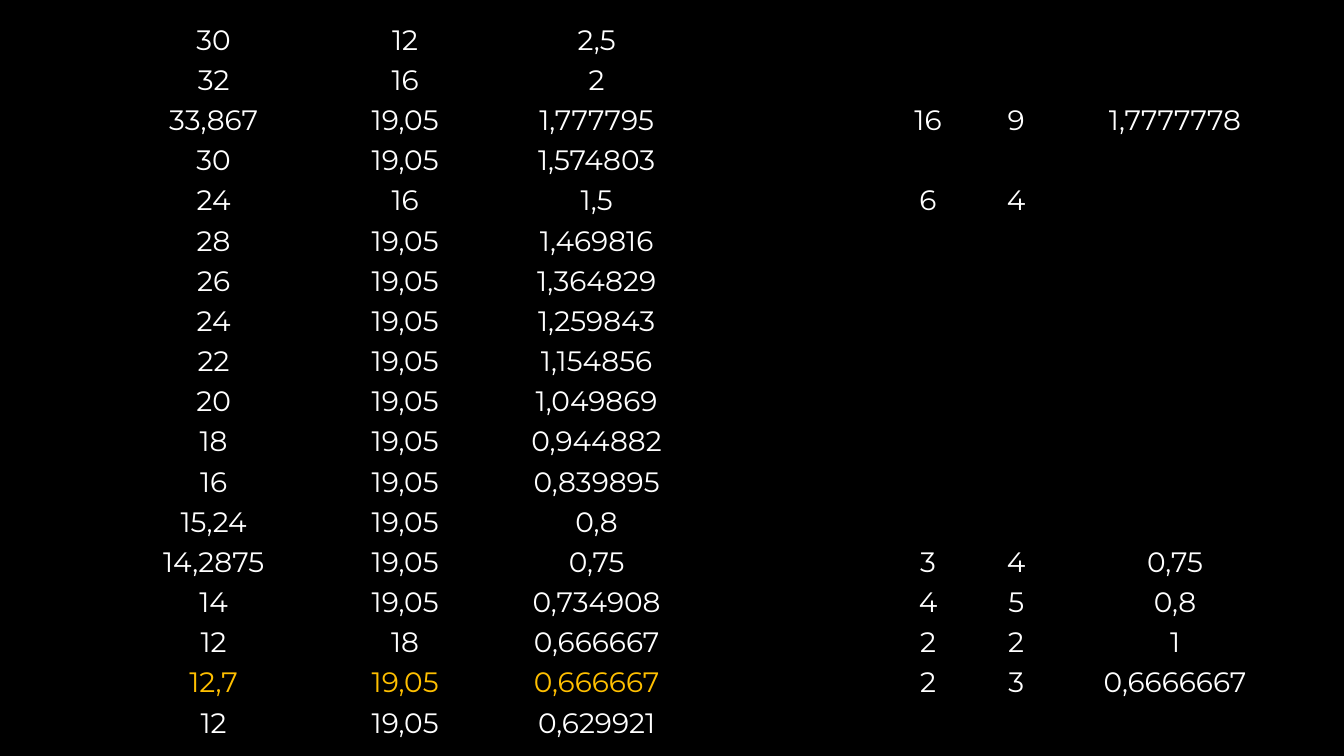
from dataclasses import dataclass

from pptx import Presentation
from pptx.dml.color import RGBColor
from pptx.enum import text
from pptx.oxml import ns
from pptx.util import Pt

# Width, height, ratio; then, after an empty column, the simple ratio
ROWS = [
    ("30", "12", "2,5"),
    ("32", "16", "2"),
    ("33,867", "19,05", "1,777795", "", "16", "9", "1,7777778"),
    ("30", "19,05", "1,574803"),
    ("24", "16", "1,5", "", "6", "4"),
    ("28", "19,05", "1,469816"),
    ("26", "19,05", "1,364829"),
    ("24", "19,05", "1,259843"),
    ("22", "19,05", "1,154856"),
    ("20", "19,05", "1,049869"),
    ("18", "19,05", "0,944882"),
    ("16", "19,05", "0,839895"),
    ("15,24", "19,05", "0,8"),
    ("14,2875", "19,05", "0,75", "", "3", "4", "0,75"),
    ("14", "19,05", "0,734908", "", "4", "5", "0,8"),
    ("12", "18", "0,666667", "", "2", "2", "1"),
    ("12,7", "19,05", "0,666667", "", "2", "3", "0,6666667"),
    ("12", "19,05", "0,629921"),
]
HIGHLIGHT_ROW = 16
HIGHLIGHT_COLUMNS = range(3)

SLIDE_SIZE = (960, 540)
TABLE_LEFT, TABLE_TOP = 84.2, 14.4
COLUMN_WIDTHS = [136.8] * 4 + [63] * 2 + [164]
ROW_HEIGHT = 28.71
NO_STYLE_NO_GRID = "{2D5ABB26-0587-4C30-8999-92F81FD0307C}"


@dataclass(frozen=True)
class Theme:
    background: RGBColor = RGBColor(0, 0, 0)
    body: RGBColor = RGBColor(255, 255, 255)
    highlight: RGBColor = RGBColor(255, 192, 0)
    font: str = "Montserrat"
    size: int = 20


THEME = Theme()
CELL_FORMAT = {
    "margin_left": 0,
    "margin_right": 0,
    "margin_top": 0,
    "margin_bottom": 0,
    "vertical_anchor": text.MSO_ANCHOR.MIDDLE,
}


def apply_format(target, values):
    for name, value in values.items():
        setattr(target, name, value)


def write_cell(cell, content, color):
    apply_format(cell, CELL_FORMAT)
    cell.fill.background()
    paragraph = cell.text_frame.paragraphs[0]
    paragraph.alignment = text.PP_ALIGN.CENTER
    if content:
        run = paragraph.add_run()
        run.text = content
        apply_format(run.font, {"name": THEME.font, "size": Pt(THEME.size)})
        run.font.color.rgb = color


def add_ratio_table(slide):
    shape = slide.shapes.add_table(
        len(ROWS), len(COLUMN_WIDTHS), Pt(TABLE_LEFT), Pt(TABLE_TOP),
        Pt(sum(COLUMN_WIDTHS)), Pt(ROW_HEIGHT * len(ROWS)))
    for style in shape.element.iter(ns.qn("a:tableStyleId")):
        style.text = NO_STYLE_NO_GRID
    table = shape.table
    apply_format(table, {"first_row": False, "horz_banding": False})
    for column, width in zip(table.columns, COLUMN_WIDTHS):
        column.width = Pt(width)
    for row_index, (row, values) in enumerate(zip(table.rows, ROWS)):
        row.height = Pt(ROW_HEIGHT)
        for column_index, cell in enumerate(row.cells):
            content = values[column_index] if column_index < len(values) else ""
            highlighted = row_index == HIGHLIGHT_ROW and column_index in HIGHLIGHT_COLUMNS
            write_cell(cell, content, THEME.highlight if highlighted else THEME.body)


def main():
    presentation = Presentation()
    presentation.slide_width, presentation.slide_height = map(Pt, SLIDE_SIZE)
    slide = presentation.slides.add_slide(presentation.slide_layouts[6])
    slide.background.fill.solid()
    slide.background.fill.fore_color.rgb = THEME.background
    add_ratio_table(slide)
    presentation.save("out.pptx")


if __name__ == "__main__":
    main()
